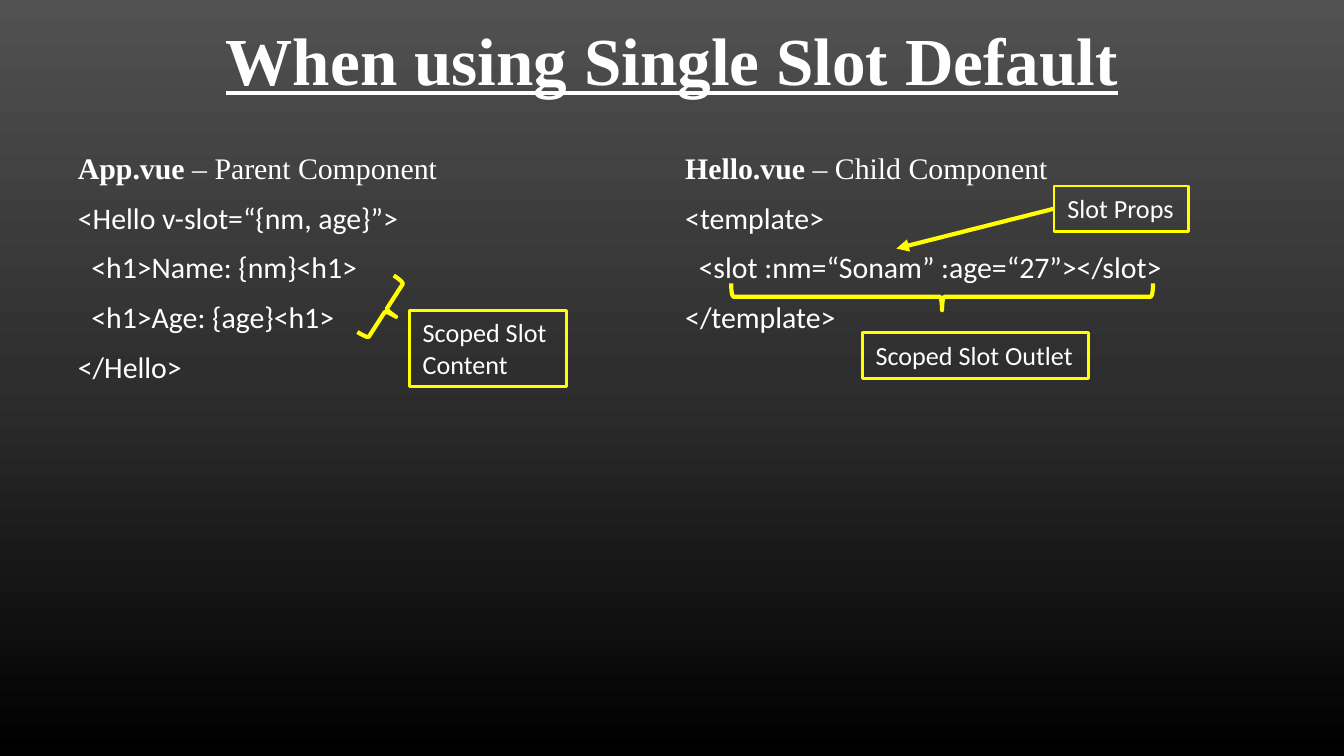
from copy import deepcopy

from lxml.etree import SubElement
from pptx import Presentation
from pptx.dml.color import RGBColor
from pptx.enum.shapes import MSO_CONNECTOR, MSO_SHAPE
from pptx.enum.text import MSO_ANCHOR, MSO_AUTO_SIZE, PP_ALIGN
from pptx.oxml.ns import qn
from pptx.util import Pt

SERIF, SANS = "Times New Roman", "Calibri"
WHITE, YELLOW = "FFFFFF", "FFFF00"


def color(hex_string):
    return RGBColor.from_string(hex_string)


def add_run(paragraph, text, font_name, size, bold=False):
    run = paragraph.add_run()
    run.text = text
    run.font.name = font_name
    run.font.size = Pt(size)
    run.font.bold = bold
    run.font.color.rgb = color(WHITE)
    return run


presentation = Presentation()
presentation.slide_width = Pt(720)
presentation.slide_height = Pt(405)
slide = presentation.slides.add_slide(presentation.slide_layouts[5])

# Background: vertical gradient with three stops
fill = slide.background.fill
fill.gradient()
fill.gradient_angle = 270
stop_list = slide.background._cSld.find(".//" + qn("a:gsLst"))
stop_list.insert(1, deepcopy(stop_list[0]))
stops = [(0, "515151"), (0.5, "2E2E2E"), (1, "000000")]
for stop, (position, shade) in zip(fill.gradient_stops, stops):
    stop.position = position
    stop.color.rgb = color(shade)

# Title
title = slide.shapes.title
title.left, title.top, title.width, title.height = Pt(36), Pt(4.5), Pt(648), Pt(54)
title.text_frame.vertical_anchor = MSO_ANCHOR.MIDDLE
paragraph = title.text_frame.paragraphs[0]
paragraph.alignment = PP_ALIGN.CENTER
add_run(paragraph, "When using Single Slot Default", SERIF, 36, True).font.underline = True

# Code columns: file heading, then code lines
columns = [
    (34.7, 246, 132, "App.vue ", "– Parent Component",
     ["<Hello v-slot=“{nm, age}”>", "  <h1>Name: {nm}<h1>", "  <h1>Age: {age}<h1>", "</Hello>"]),
    (360, 298, 114, "Hello.vue ", "– Child Component",
     ["<template>", "  <slot :nm=“Sonam” :age=“27”></slot>", "</template>"]),
]
for left, width, height, file_name, role, code_lines in columns:
    column = slide.shapes.add_textbox(Pt(left), Pt(76.5), Pt(width), Pt(height))
    frame = column.text_frame
    frame.word_wrap = True
    heading = frame.paragraphs[0]
    add_run(heading, file_name, SERIF, 16, True)
    add_run(heading, role, SERIF, 16)
    for code_line in code_lines:
        paragraph = frame.add_paragraph()
        paragraph.space_before = Pt(7.5)
        add_run(paragraph, code_line, SANS, 16)

# Outlined labels
labels = [
    ("Scoped Slot Outlet", 462, 178.2, 121.2, 24.5, False),
    ("Scoped Slot Content", 219.4, 166.2, 84.2, 41, True),
    ("Slot Props", 564.7, 99.7, 72.2, 24.5, False),
]
for text, left, top, width, height, wrap in labels:
    label = slide.shapes.add_textbox(Pt(left), Pt(top), Pt(width), Pt(height))
    label.line.color.rgb = color(YELLOW)
    label.line.width = Pt(1.5)
    label.text_frame.word_wrap = wrap
    label.text_frame.auto_size = MSO_AUTO_SIZE.SHAPE_TO_FIT_TEXT
    add_run(label.text_frame.paragraphs[0], text, SANS, 14)

# Braces around the slot outlet and the slot content
braces = [
    (MSO_SHAPE.LEFT_BRACE, 497.5, 46, 14.4, 226, 270),
    (MSO_SHAPE.RIGHT_BRACE, 200.2, 148.3, 13, 36, 32.7),
]
for kind, left, top, width, height, rotation in braces:
    brace = slide.shapes.add_shape(kind, Pt(left), Pt(top), Pt(width), Pt(height))
    brace.rotation = rotation
    brace.shadow.inherit = False
    brace.fill.background()
    brace.line.color.rgb = color(YELLOW)
    brace.line.width = Pt(2.25)

# Arrow from the slot props label to the attributes
arrow = slide.shapes.add_connector(
    MSO_CONNECTOR.STRAIGHT, Pt(564.7), Pt(111.8), Pt(480.2), Pt(133.2))
arrow.line.color.rgb = color(YELLOW)
arrow.line.width = Pt(2.25)
SubElement(arrow.line._get_or_add_ln(), qn("a:tailEnd"), type="triangle")
SubElement(arrow._element.spPr, qn("a:effectLst"))

presentation.save("out.pptx")
